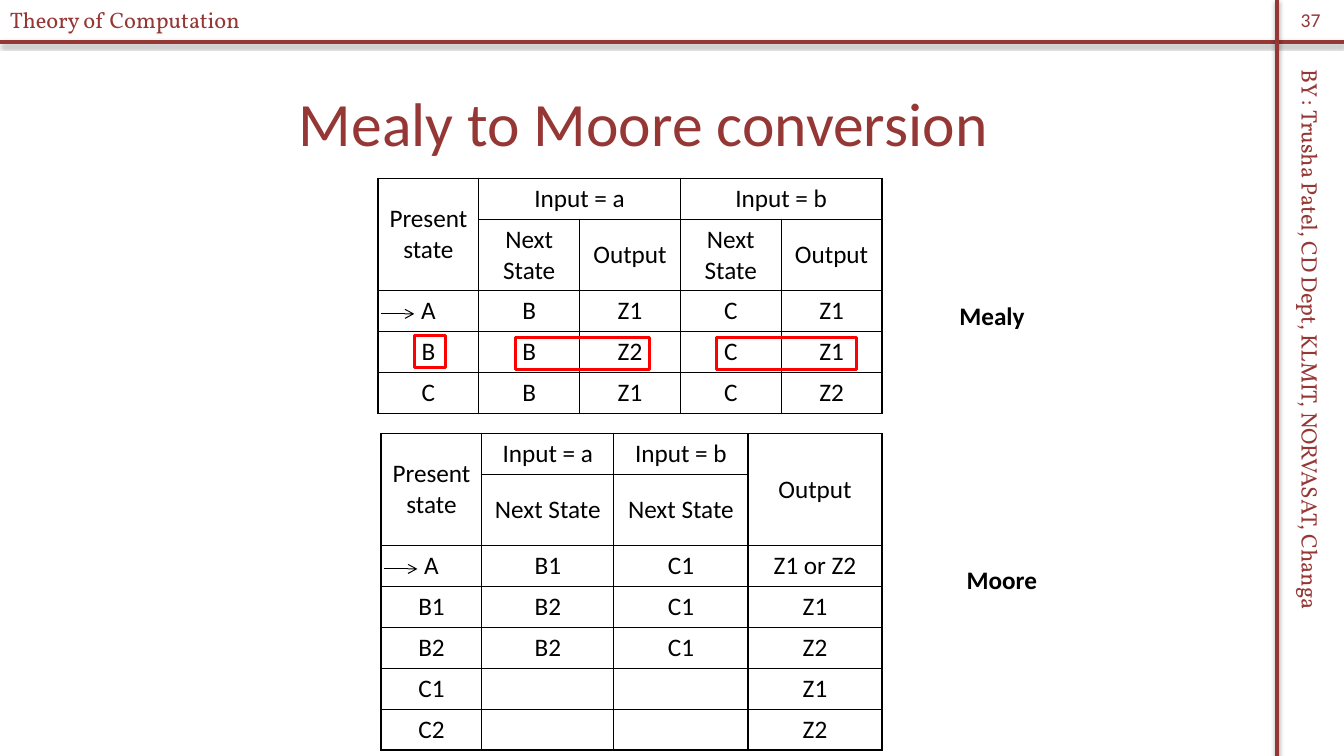
from lxml import etree
from pptx import Presentation
from pptx.dml.color import RGBColor
from pptx.enum.shapes import MSO_CONNECTOR, MSO_SHAPE
from pptx.enum.text import MSO_ANCHOR, PP_ALIGN
from pptx.oxml import parse_xml
from pptx.oxml.ns import nsdecls, qn
from pptx.util import Pt

LEFT, CENTER = PP_ALIGN.LEFT, PP_ALIGN.CENTER
TOP, MIDDLE = MSO_ANCHOR.TOP, MSO_ANCHOR.MIDDLE
STRAIGHT, RECT = MSO_CONNECTOR.STRAIGHT, MSO_SHAPE.RECTANGLE

COLORS = {"accent": "953735", "ink": "000000", "mark": "FF0000"}
W, H = 960, 540
RULE_X, RULE_Y = 912.4, 29.8
ROW, HEAD_ROW = 29.2, 51

MEALY_ROWS = [
    ["Present state", "Input = a", "", "Input = b", ""],
    ["", "Next State", "Output", "Next\nState", "Output"],
    ["A", "B", "Z1", "C", "Z1"],
    ["B", "B", "Z2", "C", "Z1"],
    ["C", "B", "Z1", "C", "Z2"],
]
MOORE_ROWS = [
    ["Present state", "Input = a", "Input = b", "Output"],
    ["", "Next State", "Next State", ""],
    ["A", "B1", "C1", "Z1 or Z2"],
    ["B1", "B2", "C1", "Z1"],
    ["B2", "B2", "C1", "Z2"],
    ["C1", "", "", "Z1"],
    ["C2", "", "", "Z2"],
]


def rgb(name):
    return RGBColor.from_string(COLORS[name])


def write(tf, text, size, color, font="Calibri", bold=False, align=LEFT,
          anchor=TOP):
    tf.vertical_anchor = anchor
    for i, line in enumerate(text.split("\n")):
        p = tf.add_paragraph() if i else tf.paragraphs[0]
        p.alignment = align
        r = p.add_run()
        r.text = line
        r.font.size, r.font.name, r.font.bold = Pt(size), font, bold
        r.font.color.rgb = rgb(color)


def add_text(s, box, text, size, color, wrap=True, **style):
    sp = s.shapes.add_textbox(*map(Pt, box))
    sp.text_frame.word_wrap = wrap
    write(sp.text_frame, text, size, color, **style)
    return sp


def add_line(s, x1, y1, x2, y2, color, width):
    line = s.shapes.add_connector(STRAIGHT, Pt(x1), Pt(y1), Pt(x2), Pt(y2))
    line.line.color.rgb = rgb(color)
    line.line.width = Pt(width)
    effects = etree.SubElement(line._element.spPr, qn("a:effectLst"))
    return line, effects


def add_frame(s, box):
    """Shadowed rules, course name, author strip and page number."""
    x, y, w, h = box
    for ends in ((x, RULE_Y, x + w, RULE_Y), (RULE_X, y, RULE_X, y + h)):
        _, effects = add_line(s, *ends, "accent", 3)
        effects.append(parse_xml(
            f'<a:outerShdw {nsdecls("a")} blurRad="40000" dist="23000" '
            'dir="5400000" rotWithShape="0"><a:srgbClr val="000000">'
            '<a:alpha val="35000"/></a:srgbClr></a:outerShdw>'))
    strip = add_text(s, (x + 704.9, y + 260.6, 462.2, 26.6),
                     "BY : Trusha Patel, CD Dept, KLMIT, NORVASAT, Changa",
                     16, "accent", font="Vollkorn")
    strip.rotation = 90
    add_text(s, (x, y + 0.7, 236.9, 26.6), "Theory of Computation", 16,
             "accent", font="Vollkorn")
    add_text(s, (RULE_X, y, x + w - RULE_X, 28.8), "37", 14, "accent",
             align=CENTER, anchor=MIDDLE)


def add_title(s, box):
    sp = s.shapes.title
    sp.left, sp.top, sp.width, sp.height = map(Pt, box)
    write(sp.text_frame, "Mealy to Moore conversion", 44, "accent",
          align=CENTER, anchor=MIDDLE)


def style_cell(cell):
    tcPr = cell._tc.get_or_add_tcPr()
    for side in ("lnL", "lnR", "lnT", "lnB"):
        tcPr.append(parse_xml(
            f'<a:{side} {nsdecls("a")} w="12700"><a:solidFill>'
            f'<a:srgbClr val="{COLORS["ink"]}"/></a:solidFill></a:{side}>'))
    cell.fill.background()
    cell.vertical_anchor = MIDDLE


def add_state_table(s, box, rows, widths, merges):
    """State table with two heading rows and an arrow at the start state."""
    x, y, w, h = box
    frame = s.shapes.add_table(len(rows), len(widths), *map(Pt, box))
    table = frame.table
    table.first_row = table.horz_banding = False
    for col, width in zip(table.columns, widths):
        col.width = Pt(width)
    for i, row in enumerate(table.rows):
        row.height = Pt(HEAD_ROW if i == 1 else ROW)
    for first, last in merges:
        table.cell(*first).merge(table.cell(*last))
    for i, values in enumerate(rows):
        for j, value in enumerate(values):
            cell = table.cell(i, j)
            style_cell(cell)
            if value:
                write(cell.text_frame, value, 18, "ink", align=CENTER,
                      anchor=MIDDLE)
    arrow_y = y + ROW * 1.5 + HEAD_ROW + 2
    arrow, _ = add_line(s, x + 2, arrow_y, x + 26, arrow_y, "ink", 0.75)
    etree.SubElement(arrow.line._get_or_add_ln(), qn("a:tailEnd"),
                     type="arrow")


def add_marks(s, box):
    """Red outlines in the row of state B."""
    x, y, w, h = box
    for dx, dy, width in ((26, 0, 22.3), (98, 1.4, 95.8), (242, 1.4, 100)):
        sp = s.shapes.add_shape(RECT, Pt(x + dx), Pt(y + dy), Pt(width), Pt(h))
        sp.shadow.inherit = False
        sp.fill.background()
        sp.line.color.rgb = rgb("mark")
        sp.line.width = Pt(2)


def main():
    prs = Presentation()
    prs.slide_width, prs.slide_height = Pt(W), Pt(H)
    s = prs.slides.add_slide(prs.slide_layouts[5])

    add_frame(s, (0, 0, W, H))
    add_title(s, (15.8, 41.8, 887.8, 90))

    # Mealy machine
    add_state_table(s, (270, 127.4, 360, 168), MEALY_ROWS, [72] * 5,
                    [((0, 0), (1, 0)), ((0, 1), (0, 2)), ((0, 3), (0, 4))])
    add_text(s, (678.2, 211, 61.2, 28.8), "Mealy", 18, "ink", wrap=False,
             bold=True)
    add_marks(s, (270, 239.8, 360, 23))

    # Moore machine
    add_state_table(s, (272.2, 309.6, 357.8, 226), MOORE_ROWS,
                    [72, 94.3, 95.8, 95.8],
                    [((0, 0), (1, 0)), ((0, 3), (1, 3))])
    add_text(s, (683.3, 399.6, 65.5, 28.8), "Moore", 18, "ink", wrap=False,
             bold=True)

    prs.save("out.pptx")


if __name__ == "__main__":
    main()
